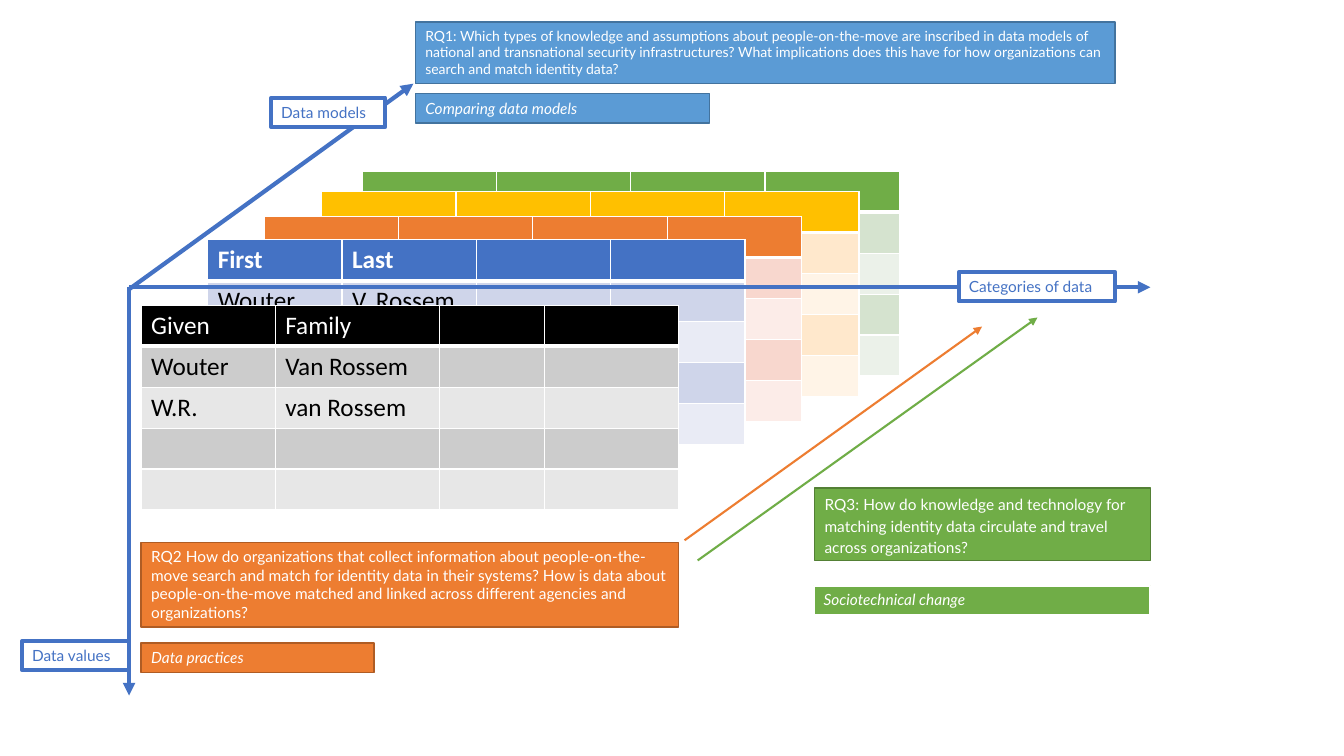
from typing import NamedTuple

from lxml.etree import SubElement
from pptx import Presentation
from pptx.dml.color import RGBColor
from pptx.enum.shapes import MSO_CONNECTOR, MSO_SHAPE
from pptx.enum.text import MSO_ANCHOR, MSO_AUTO_SIZE, PP_ALIGN
from pptx.oxml.ns import qn
from pptx.oxml.xmlchemy import OxmlElement
from pptx.slide import Slide
from pptx.table import _Cell
from pptx.util import Emu, Pt

EMU_PER_PX = 9144
ROWS, COLUMNS = 5, 4
TABLE_WIDTH, TABLE_HEIGHT = 533, 203

COLORS = {
    "white": "FFFFFF", "black": "000000", "axis": "4472C4",
    "green": "70AD47", "green edge": "538035", "green dark": "D5E3CF", "green light": "EBF1E9",
    "yellow": "FFC000", "yellow dark": "FFE8CC", "yellow light": "FFF4E7",
    "orange": "ED7D31", "orange edge": "AF5C24", "orange dark": "F8D7CE", "orange light": "FCECE8",
    "axis dark": "CFD5EA", "axis light": "E9EBF5",
    "black dark": "CCCCCC", "black light": "E7E7E7",
    "blue": "5B9BD5", "blue edge": "43739E",
}


class DataTable(NamedTuple):
    left: int
    top: int
    color: str
    texts: tuple[tuple[str, ...], ...] = ()
    bold_header: bool = False
    widths: tuple[int, ...] = ()


class Arrow(NamedTuple):
    start: tuple[int, int]
    end: tuple[int, int]
    color: str
    weight: float


class Box(NamedTuple):
    left: int
    top: int
    width: int
    height: int
    text: str
    fill: str
    edge: str
    weight: float = 1
    color: str = "white"
    size: int = 11
    italic: bool = False
    line_spacing: float = 1
    gap: int = 0


TABLES = [
    DataTable(359, 170, "green"),
    DataTable(319, 190, "yellow"),
    DataTable(262, 215, "orange"),
    DataTable(206, 238, "axis", (("First", "Last"), ("Wouter", "V. Rossem")), True),
    DataTable(140, 303, "black",
              (("Given", "Family"), ("Wouter", "Van Rossem"), ("W.R.", "van Rossem")),
              widths=(133, 163, 104, 133)),
]

BACK_ARROWS = [
    Arrow((679, 536), (974, 324), "orange", 1.5),
    Arrow((128, 285), (128, 690), "axis", 3),
]

FRONT_ARROWS = [
    Arrow((128, 287), (410, 83), "axis", 3),
    Arrow((128, 285), (1141, 285), "axis", 3),
    Arrow((692, 556), (1029, 315), "green", 1.5),
]

BOXES = [
    Box(807, 581, 334, 29, "Sociotechnical change", "green", "white", 1.5, italic=True),
    Box(140, 638, 231, 29, "Data practices", "orange", "orange edge", italic=True),
    Box(412, 93, 292, 29, "Comparing data models", "blue", "blue edge", italic=True),
    Box(412, 22, 694, 61,
        "RQ1: Which types of knowledge and assumptions about people-on-the-move are inscribed "
        "in data models of national and transnational security infrastructures? What implications "
        "does this have for how organizations can search and match identity data?",
        "blue", "blue edge", size=10),
    Box(808, 484, 333, 72,
        "RQ3: How do knowledge and technology for matching identity data circulate and travel "
        "across organizations?",
        "green", "green edge", line_spacing=1.15, gap=10),
    Box(269, 97, 113, 29, "Data models", "white", "axis", 3, "axis"),
    Box(22, 636, 106, 29, "Data values", "white", "axis", 3, "axis"),
    Box(951, 270, 155, 29, "Categories of data", "white", "axis", 3, "axis"),
    Box(140, 538, 533, 84,
        "RQ2 How do organizations that collect information about people-on-the-move search and "
        "match for identity data in their systems? How is data about people-on-the-move matched "
        "and linked across different agencies and organizations?",
        "orange", "orange edge"),
]


def px(length: int) -> Emu:
    return Emu(length * EMU_PER_PX)


def rgb(name: str) -> RGBColor:
    return RGBColor.from_string(COLORS[name])


def add_borders(cell: _Cell, is_header: bool) -> None:
    properties = cell._tc.get_or_add_tcPr()
    for position, side in enumerate(("lnL", "lnR", "lnT", "lnB")):
        weight = 3 if is_header and side == "lnB" else 1
        border = OxmlElement(f"a:{side}")
        border.set("w", str(Pt(weight)))
        fill = SubElement(border, qn("a:solidFill"))
        SubElement(fill, qn("a:srgbClr")).set("val", COLORS["white"])
        properties.insert(position, border)


def draw_table(page: Slide, item: DataTable) -> None:
    frame = page.shapes.add_table(ROWS, COLUMNS, px(item.left), px(item.top),
                                  px(TABLE_WIDTH), px(TABLE_HEIGHT))
    table = frame.table
    for column, width in zip(table.columns, item.widths):
        column.width = px(width)
    row_fills = [item.color] + [f"{item.color} {shade}" for shade in ("dark", "light") * 2]
    for row, fill in enumerate(row_fills):
        for column in range(COLUMNS):
            cell = table.cell(row, column)
            cell.fill.solid()
            cell.fill.fore_color.rgb = rgb(fill)
            add_borders(cell, row == 0)
    for row, texts in enumerate(item.texts):
        for column, text in enumerate(texts):
            span = table.cell(row, column).text_frame.paragraphs[0].add_run()
            span.text = text
            span.font.name = "Calibri"
            span.font.size = Pt(18)
            span.font.bold = item.bold_header and row == 0
            span.font.color.rgb = rgb("black" if row else "white")


def draw_arrow(page: Slide, item: Arrow) -> None:
    arrow = page.shapes.add_connector(MSO_CONNECTOR.STRAIGHT, *map(px, item.start + item.end))
    arrow.line.color.rgb = rgb(item.color)
    arrow.line.width = Pt(item.weight)
    SubElement(arrow.line._get_or_add_ln(), qn("a:tailEnd")).set("type", "triangle")
    SubElement(arrow._element.spPr, qn("a:effectLst"))


def draw_box(page: Slide, item: Box) -> None:
    box = page.shapes.add_shape(MSO_SHAPE.RECTANGLE, px(item.left), px(item.top),
                                px(item.width), px(item.height))
    box.shadow.inherit = False
    box.fill.solid()
    box.fill.fore_color.rgb = rgb(item.fill)
    box.line.color.rgb = rgb(item.edge)
    box.line.width = Pt(item.weight)
    frame = box.text_frame
    frame.word_wrap = True
    frame.auto_size = MSO_AUTO_SIZE.SHAPE_TO_FIT_TEXT
    frame.vertical_anchor = MSO_ANCHOR.TOP
    para = frame.paragraphs[0]
    para.alignment = PP_ALIGN.LEFT
    para.line_spacing = item.line_spacing
    para.space_before = para.space_after = Pt(item.gap)
    span = para.add_run()
    span.text = item.text
    span.font.name = "Lato"
    span.font.size = Pt(item.size)
    span.font.italic = item.italic
    span.font.color.rgb = rgb(item.color)


def main() -> None:
    deck = Presentation()
    deck.slide_width, deck.slide_height = px(1333), px(750)
    page = deck.slides.add_slide(deck.slide_layouts[6])
    for arrow in BACK_ARROWS:
        draw_arrow(page, arrow)
    for table in TABLES:
        draw_table(page, table)
    for arrow in FRONT_ARROWS:
        draw_arrow(page, arrow)
    for box in BOXES:
        draw_box(page, box)
    deck.save("out.pptx")


if __name__ == "__main__":
    main()
